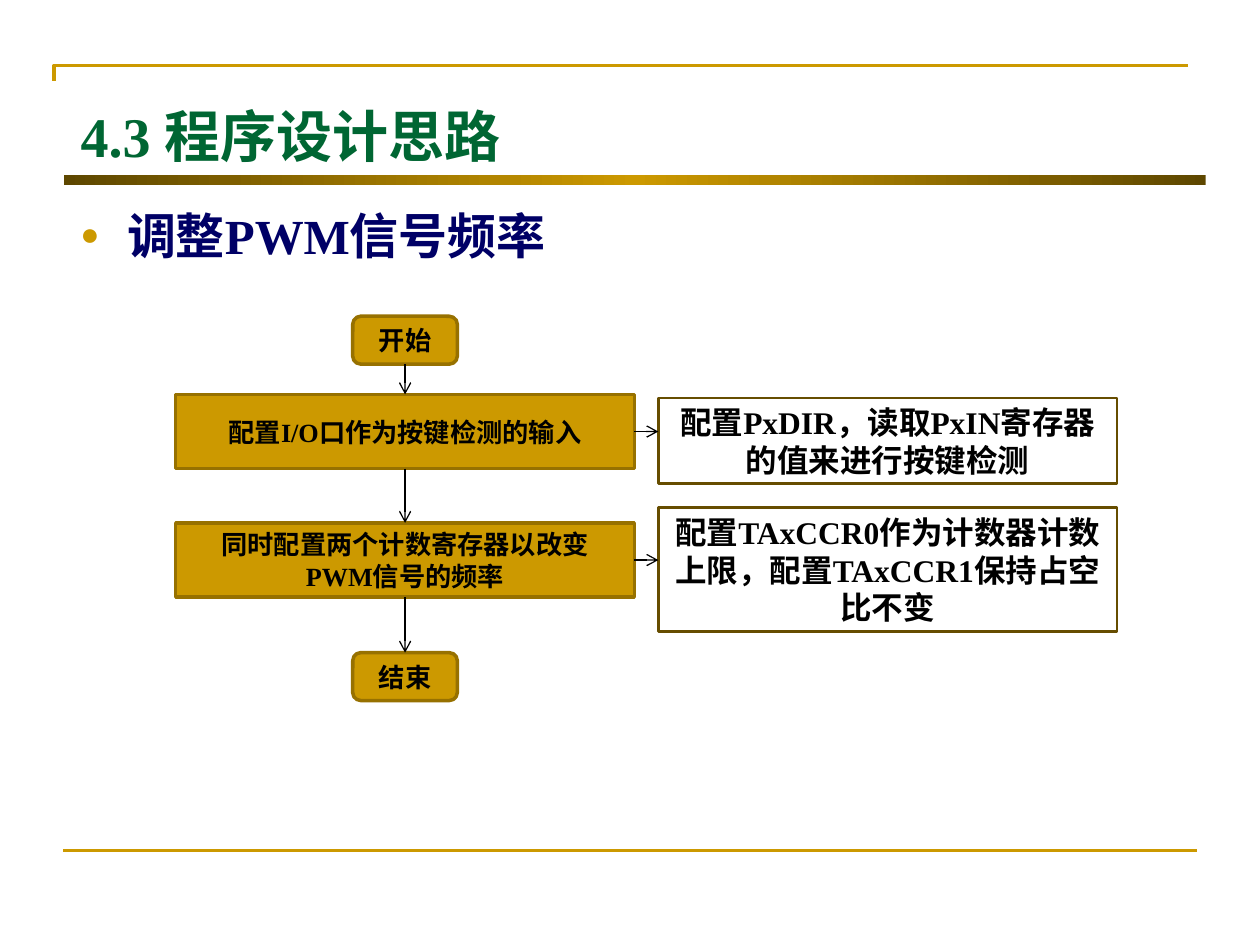
from copy import deepcopy
from dataclasses import dataclass

from lxml import etree
from pptx import Presentation
from pptx.dml.color import RGBColor
from pptx.enum.shapes import MSO_CONNECTOR, MSO_SHAPE
from pptx.enum.text import MSO_ANCHOR, MSO_AUTO_SIZE, PP_ALIGN
from pptx.oxml.ns import qn
from pptx.util import Inches, Pt

RECT, ROUNDED = MSO_SHAPE.RECTANGLE, MSO_SHAPE.ROUNDED_RECTANGLE
STRAIGHT = MSO_CONNECTOR.STRAIGHT
TOP, MIDDLE = MSO_ANCHOR.TOP, MSO_ANCHOR.MIDDLE
LEFT, CENTER = PP_ALIGN.LEFT, PP_ALIGN.CENTER
NO_FIT, GROW = MSO_AUTO_SIZE.NONE, MSO_AUTO_SIZE.SHAPE_TO_FIT_TEXT
SERIF, SANS = "Times New Roman", "Arial"
GOLD, BROWN, BLACK = "CC9900", "5E4700", "000000"
AXIS = 3.215
STEP_WIDTH = 3.64
NOTE_LEFT = 5.225


@dataclass
class Step:
    text: str
    top: float
    width: float
    height: float
    shape: MSO_SHAPE
    font: str

    @property
    def left(self) -> float:
        return AXIS - self.width / 2

    @property
    def bottom(self) -> float:
        return self.top + self.height


@dataclass
class Note:
    text: str
    top: float
    height: float
    step: Step


START = Step("开始", 2.51, 0.83, 0.38, ROUNDED, SANS)
INPUT = Step("配置I/O口作为按键检测的输入", 3.13, STEP_WIDTH, 0.59, RECT, SERIF)
COUNTERS = Step("同时配置两个计数寄存器以改变PWM信号的频率", 4.15, STEP_WIDTH, 0.59, RECT, SERIF)
END = Step("结束", 5.18, 0.83, 0.38, ROUNDED, SANS)
STEPS = [START, INPUT, COUNTERS, END]
NOTES = [
    Note("配置PxDIR，读取PxIN寄存器的值来进行按键检测", 3.16, 0.68, INPUT),
    Note("配置TAxCCR0作为计数器计数上限，配置TAxCCR1保持占空比不变", 4.03, 0.98, COUNTERS),
]


def rgb(color: str) -> RGBColor:
    return RGBColor.from_string(color)


def set_line(sp, color: str, width: float) -> None:
    sp.line.color.rgb = rgb(color)
    sp.line.width = Pt(width)


def write(sp, text: str, size: float, color: str, font: str = SERIF,
          align=LEFT, anchor=TOP, fit=NO_FIT):
    tf = sp.text_frame
    tf.text = text
    tf.word_wrap = True
    tf.auto_size = fit
    tf.vertical_anchor = anchor
    p = tf.paragraphs[0]
    p.alignment = align
    p.font.name = font
    p.font.size = Pt(size)
    p.font.bold = True
    p.font.color.rgb = rgb(color)
    return p


def add_box(s, shape, left: float, top: float, width: float, height: float):
    sp = s.shapes.add_shape(shape, Inches(left), Inches(top), Inches(width), Inches(height))
    sp.shadow.inherit = False
    tf = sp.text_frame
    tf.margin_left = tf.margin_right = Inches(0.1)
    tf.margin_top = tf.margin_bottom = Inches(0.04)
    return sp


def add_line(s, x1: float, y1: float, x2: float, y2: float,
             color: str = BLACK, width: float = 0.75, arrow: bool = True) -> None:
    line = s.shapes.add_connector(STRAIGHT, Inches(x1), Inches(y1), Inches(x2), Inches(y2))
    set_line(line, color, width)
    if arrow:
        etree.SubElement(line.line._get_or_add_ln(), qn("a:tailEnd"), type="arrow")
    etree.SubElement(line._element.spPr, qn("a:effectLst"))


def add_frame(s) -> None:
    builder = s.shapes.build_freeform(Inches(0.43), Inches(0.64))
    builder.add_line_segments([(Inches(0.43), Inches(0.52)), (Inches(9.43), Inches(0.52))], close=False)
    corner = builder.convert_to_shape()
    corner.shadow.inherit = False
    corner.fill.background()
    set_line(corner, GOLD, 2.25)
    add_line(s, 0.5, 6.75, 9.5, 6.75, GOLD, 1.5, arrow=False)

    bar = add_box(s, RECT, 0.51, 1.39, 9.06, 0.08)
    bar.line.fill.background()
    bar.fill.gradient()
    bar.fill.gradient_angle = 0
    stops = bar._element.spPr.find(qn("a:gradFill")).find(qn("a:gsLst"))
    stops.insert(1, deepcopy(stops[0]))
    for stop, position, color in zip(bar.fill.gradient_stops, (0, 0.5, 1), (BROWN, GOLD, BROWN)):
        stop.position = position
        stop.color.rgb = rgb(color)


def add_heading(s) -> None:
    title = s.shapes.title
    title.left, title.top = Inches(0.54), Inches(0.78)
    title.width, title.height = Inches(6.75), Inches(0.58)
    write(title, "4.3 程序设计思路", 32, "006633", anchor=MIDDLE)

    body = s.shapes.add_textbox(Inches(0.54), Inches(1.58), Inches(6.76), Inches(0.55))
    p = write(body, "调整PWM信号频率", 28, "000066")
    p.space_before = Pt(5.6)
    pPr = p._p.get_or_add_pPr()
    pPr.set("marL", str(Inches(0.37)))
    pPr.set("indent", str(-Inches(0.37)))
    bullet = [
        etree.Element(qn("a:buClr")),
        etree.Element(qn("a:buSzPct"), val="65000"),
        etree.Element(qn("a:buFont"), typeface=SANS),
        etree.Element(qn("a:buChar"), char="●"),
    ]
    etree.SubElement(bullet[0], qn("a:srgbClr"), val=GOLD)
    spacing = pPr.find(qn("a:spcBef"))
    for element in reversed(bullet):
        spacing.addnext(element)


def add_step(s, step: Step) -> None:
    sp = add_box(s, step.shape, step.left, step.top, step.width, step.height)
    sp.fill.solid()
    sp.fill.fore_color.rgb = rgb(GOLD)
    set_line(sp, "977100", 2)
    write(sp, step.text, 15, BLACK, step.font, CENTER, MIDDLE)


def add_note(s, note: Note) -> None:
    sp = add_box(s, RECT, NOTE_LEFT, note.top, STEP_WIDTH, note.height)
    sp.fill.background()
    set_line(sp, "664D00", 1.5)
    write(sp, note.text, 18, BLACK, align=CENTER, fit=GROW)
    step = note.step
    y = step.top + step.height / 2
    add_line(s, step.left + step.width, y, NOTE_LEFT, y)


prs = Presentation()
prs.slide_width, prs.slide_height = Inches(10), Inches(7.5)
s = prs.slides.add_slide(prs.slide_layouts[5])
add_frame(s)
add_heading(s)
for step in STEPS:
    add_step(s, step)
for upper, lower in zip(STEPS, STEPS[1:]):
    add_line(s, AXIS, upper.bottom, AXIS, lower.top)
for note in NOTES:
    add_note(s, note)
prs.save("out.pptx")
